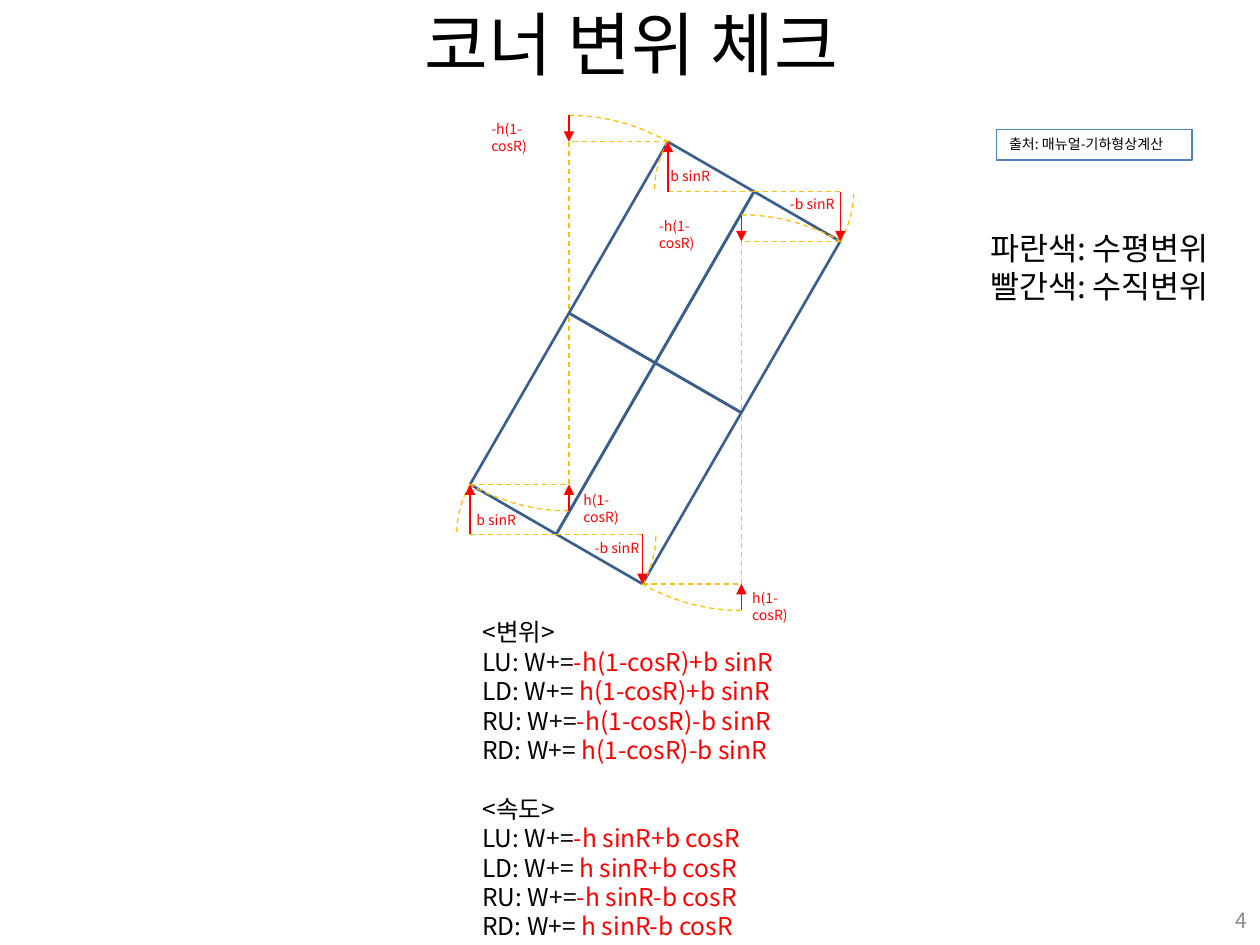
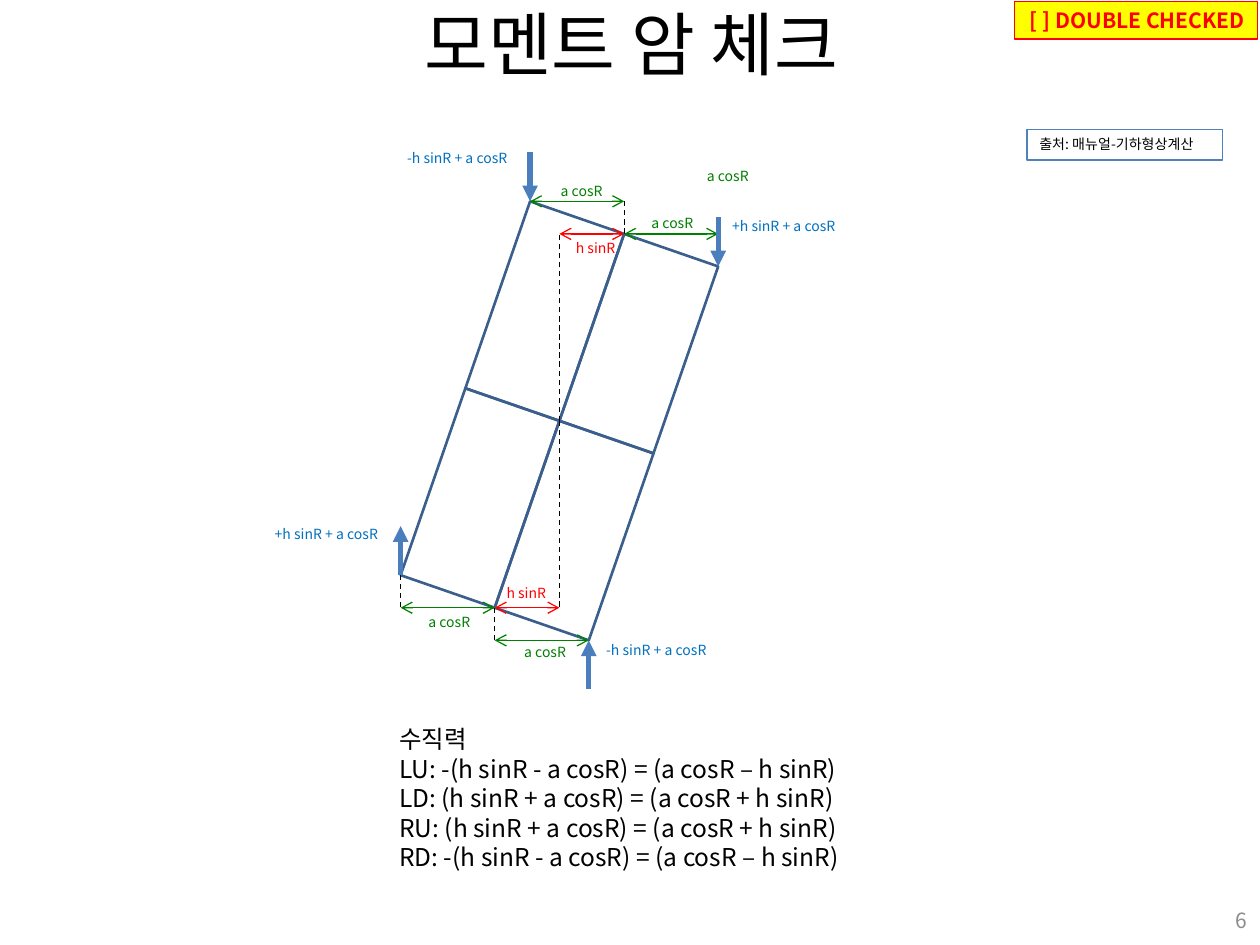
from itertools import product
from math import cos, radians, sin

from lxml.etree import SubElement
from pptx import Presentation
from pptx.dml.color import RGBColor
from pptx.enum.dml import MSO_LINE
from pptx.enum.shapes import MSO_CONNECTOR, MSO_SHAPE
from pptx.enum.text import MSO_ANCHOR, MSO_AUTO_SIZE, PP_ALIGN as ALIGN
from pptx.oxml.ns import qn
from pptx.util import Inches, Pt

FONT = "Noto Sans CJK KR"
BLACK, RED, ORANGE, GREEN = "000000", "FF0000", "FFC000", "008000"
PANEL, FORCE, FORCE_TEXT, GRAY = "3A5F8C", "4B7EBC", "0070C0", "8C8C8C"
BORDER, YELLOW = "4F81BD", "FFFF00"

HALF_WIDTH, HALF_HEIGHT = 0.79, 1.57
FORCE_LENGTH = 0.39
SOURCE_NOTE = "출처: 매뉴얼-기하형상계산"

LABEL_WIDTHS = {
    "b sinR": 0.42, "-b sinR": 0.46, "h(1-cosR)": 0.56, "-h(1-cosR)": 0.6,
    "h sinR": 0.42, "a cosR": 0.46, "-h sinR + a cosR": 0.98, "+h sinR + a cosR": 1.01,
}
DISPLACEMENT_LABELS = [
    ("b sinR", RED, [(5.28, 1.33), (3.74, 4.06)]),
    ("-b sinR", RED, [(6.23, 1.55), (4.68, 4.28)]),
    ("-h(1-cosR)", RED, [(3.86, 0.96), (5.19, 1.73)]),
    ("h(1-cosR)", RED, [(4.59, 3.9), (5.93, 4.68)]),
]
MOMENT_LABELS = [
    ("h sinR", RED, [(3.98, 4.64), (4.53, 1.9)]),
    ("a cosR", GREEN, [(4.12, 5.11), (3.36, 4.87), (4.41, 1.45), (5.57, 1.33), (5.13, 1.7)]),
    ("-h sinR + a cosR", FORCE_TEXT, [(4.77, 5.09), (3.19, 1.19)]),
    ("+h sinR + a cosR", FORCE_TEXT, [(5.77, 1.73), (2.14, 4.17)]),
]
DISPLACEMENTS = [
    "<변위>",
    ("LU: W+=", "-h(1-cosR)+b sinR"),
    ("LD: W+= ", "h(1-cosR)+b sinR"),
    ("RU: W+=", "-h(1-cosR)-b sinR"),
    ("RD: W+= ", "h(1-cosR)-b sinR"),
    "<속도>",
    ("LU: W+=", "-h sinR+b cosR"),
    ("LD: W+= ", "h sinR+b cosR"),
    ("RU: W+=", "-h sinR-b cosR"),
    ("RD: W+= ", "h sinR-b cosR"),
]
COLOR_KEY = ["파란색: 수평변위", "빨간색: 수직변위"]
VERTICAL_FORCES = [
    "수직력",
    "LU: -(h sinR - a cosR) = (a cosR – h sinR)",
    "LD: (h sinR + a cosR) = (a cosR + h sinR)",
    "RU: (h sinR + a cosR) = (a cosR + h sinR)",
    "RD: -(h sinR - a cosR) = (a cosR – h sinR)",
]


def rgb(color):
    return RGBColor.from_string(color)


def add_text(slide, paragraphs, box, size=14, color=BLACK, bold=False, align=ALIGN.LEFT,
             anchor=MSO_ANCHOR.TOP, wrap=False, grow=True, tight=False,
             fill=None, line=None, gaps=None):
    lengths = [Inches(value) for value in box]
    if line:
        shape = slide.shapes.add_shape(MSO_SHAPE.RECTANGLE, *lengths)
        shape.shadow.inherit = False
        style_outline(shape, line, 0.75)
    else:
        shape = slide.shapes.add_textbox(*lengths)
    if fill:
        shape.fill.solid()
        shape.fill.fore_color.rgb = rgb(fill)
    else:
        shape.fill.background()
    frame = shape.text_frame
    frame.word_wrap = wrap
    frame.auto_size = MSO_AUTO_SIZE.SHAPE_TO_FIT_TEXT if grow else MSO_AUTO_SIZE.NONE
    frame.vertical_anchor = anchor
    if tight:
        frame.margin_left = frame.margin_right = Inches(0.04)
        frame.margin_top = frame.margin_bottom = 0
    for index, parts in enumerate(paragraphs):
        paragraph = frame.paragraphs[0] if index == 0 else frame.add_paragraph()
        paragraph.alignment = align
        if gaps and index in gaps:
            paragraph.space_before = Pt(gaps[index])
        parts = (parts,) if isinstance(parts, str) else parts
        for text, run_color in zip(parts, (color, RED)):
            run = paragraph.add_run()
            run.text = text
            font = run.font
            font.name, font.size, font.bold = FONT, Pt(size), bold
            font.color.rgb = rgb(run_color)
            SubElement(font._element, qn("a:ea"), typeface=FONT)


def style_outline(shape, color, width, dashed=False):
    shape.line.color.rgb = rgb(color)
    shape.line.width = Pt(width)
    if dashed:
        shape.line.dash_style = MSO_LINE.DASH


def add_line(slide, start, end, color, width=0.75, dashed=False, head=None, tail=None):
    points = [Inches(value) for value in (*start, *end)]
    connector = slide.shapes.add_connector(MSO_CONNECTOR.STRAIGHT, *points)
    style_outline(connector, color, width, dashed)
    outline = connector.line._get_or_add_ln()
    for tag, kind in (("a:headEnd", head), ("a:tailEnd", tail)):
        if kind:
            SubElement(outline, qn(tag), type=kind)
    SubElement(connector._element.spPr, qn("a:effectLst"))


def add_centred(slide, kind, centre, width, height, rotation, color, line_width, dashed=False):
    left, top = centre[0] - width / 2, centre[1] - height / 2
    shape = slide.shapes.add_shape(kind, *(Inches(v) for v in (left, top, width, height)))
    shape.rotation = rotation
    shape.shadow.inherit = False
    shape.fill.background()
    style_outline(shape, color, line_width, dashed)
    return shape


def add_arc(slide, centre, radius, rotation):
    arc = add_centred(slide, MSO_SHAPE.ARC, centre, 2 * radius, 2 * radius,
                      rotation, ORANGE, 0.75, True)
    arc.adjustments[0] = 197.86
    arc.adjustments[1] = 0
    arc._element.spPr.xfrm.set("flipH", "1")


def frame_point(centre, angle):
    c, s = cos(radians(angle)), sin(radians(angle))

    def point(across, along):
        x, y = across * HALF_WIDTH, along * HALF_HEIGHT
        return centre[0] + x * c - y * s, centre[1] + x * s + y * c

    return point


def add_panels(slide, point, angle):
    for across, along in product((0.5, -0.5), (-0.5, 0.5)):
        add_centred(slide, MSO_SHAPE.RECTANGLE, point(across, along),
                    HALF_WIDTH, HALF_HEIGHT, angle, PANEL, 1.5)


def add_labels(slide, labels):
    for text, color, places in labels:
        for x, y in places:
            add_text(slide, [text], (x, y, LABEL_WIDTHS[text], 0.13), size=8, color=color,
                     tight=True, wrap="(1-" in text)


def start_slide(presentation, title, number, note_left):
    slide = presentation.slides.add_slide(presentation.slide_layouts[6])
    add_text(slide, [title], (0.51, 0, 9, 0.68), size=39.6, align=ALIGN.CENTER,
             anchor=MSO_ANCHOR.MIDDLE, wrap=True, grow=False)
    add_text(slide, [number], (7.67, 7.1, 2.33, 0.4), size=12, color=GRAY, align=ALIGN.RIGHT,
             anchor=MSO_ANCHOR.MIDDLE, wrap=True, grow=False)
    add_text(slide, [SOURCE_NOTE], (note_left, 1.03, 1.55, 0.24), size=8, line=BORDER)
    return slide


def build_displacement_slide(presentation):
    slide = start_slide(presentation, "코너 변위 체크", "4", 7.91)
    add_text(slide, DISPLACEMENTS, (3.73, 4.85, 2.68, 2.69), gaps={5: 16.8})
    add_text(slide, COLOR_KEY, (7.76, 1.77, 2.11, 0.71), size=18)
    point = frame_point((5.2, 2.88), 30)
    add_panels(slide, point, 30)
    for across, along in product((-1, 1), repeat=2):
        x, y = corner = point(across, along)
        middle, side = point(0, along), point(across, 0)
        add_arc(slide, middle, HALF_WIDTH, 0 if across < 0 else 180)
        add_arc(slide, side, HALF_HEIGHT, 90 if along < 0 else 270)
        foot, level = (x, middle[1]), (side[0], y)
        for start, end in ((foot, middle), (level, side), (corner, level)):
            add_line(slide, start, end, ORANGE, dashed=True)
        add_line(slide, foot, corner, RED, tail="triangle")
        add_line(slide, level, (side[0], side[1] + along * HALF_HEIGHT), RED, head="triangle")
    add_labels(slide, DISPLACEMENT_LABELS)


def build_moment_slide(presentation):
    slide = start_slide(presentation, "모멘트 암 체크", "6", 8.15)
    add_text(slide, ["[ ] DOUBLE CHECKED"], (8.05, 0.01, 1.93, 0.3), size=12, color=RED,
             bold=True, align=ALIGN.RIGHT, fill=YELLOW, line=RED)
    add_text(slide, VERTICAL_FORCES, (3.07, 5.7, 3.9, 1.28))
    centre, angle = (4.44, 3.34), 19.1
    point = frame_point(centre, angle)
    add_panels(slide, point, angle)
    for along in (-1, 1):
        middle = point(0, along)
        foot = (centre[0], middle[1])
        add_line(slide, centre, foot, BLACK, dashed=True)
        add_line(slide, foot, middle, RED, head="arrow", tail="arrow")
        for across in (-1, 1):
            x, y = corner = point(across, along)
            left_down = across < 0 < along
            level = y if across == along else middle[1]
            if across == along:
                add_line(slide, (middle[0], y), middle, BLACK, dashed=True)
            elif left_down:
                add_line(slide, corner, (x, level), BLACK, dashed=True)
            add_line(slide, (x, level), (middle[0], level), GREEN, head="arrow", tail="arrow")
            outer = (x, y - FORCE_LENGTH if left_down else y + along * FORCE_LENGTH)
            start, tip = (corner, outer) if left_down else (outer, corner)
            add_line(slide, start, tip, FORCE, width=3, tail="triangle")
    add_labels(slide, MOMENT_LABELS)


def main():
    presentation = Presentation()
    presentation.slide_width, presentation.slide_height = Inches(10), Inches(7.5)
    build_displacement_slide(presentation)
    build_moment_slide(presentation)
    presentation.save("out.pptx")


if __name__ == "__main__":
    main()
